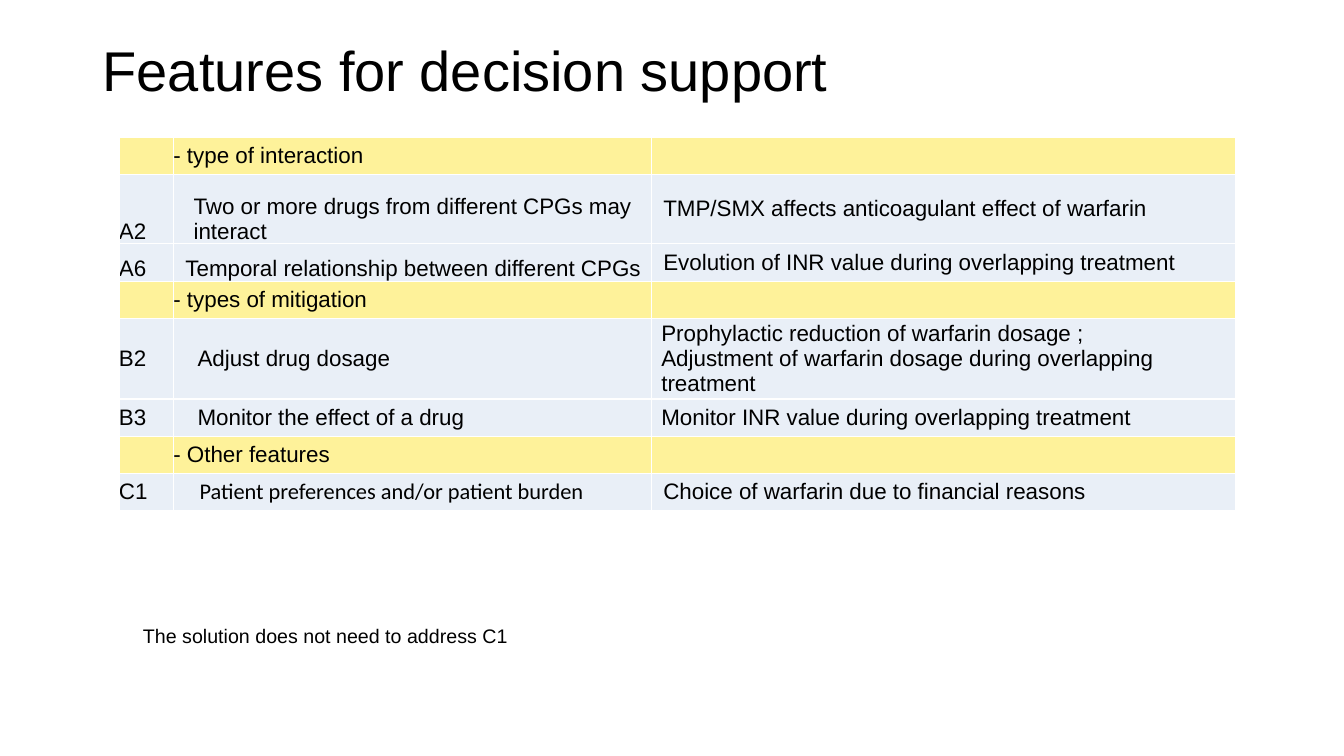
from dataclasses import dataclass

from lxml import etree
from pptx import Presentation
from pptx.dml.color import RGBColor
from pptx.enum.text import MSO_ANCHOR
from pptx.oxml.ns import qn
from pptx.util import Inches, Pt

MIDDLE, BOTTOM, TOP = MSO_ANCHOR.MIDDLE, MSO_ANCHOR.BOTTOM, MSO_ANCHOR.TOP
BLANK_LAYOUT = 6


@dataclass(frozen=True)
class Theme:
    """Colours, fonts and type sizes of the slide."""
    text: str = "000000"
    heading_fill: str = "FEF29A"
    feature_fill: str = "E9EFF7"
    border: str = "FFFFFF"
    font: str = "Arial"
    alternate_font: str = "Calibri"
    title_size: int = 40
    table_size: int = 16
    note_size: int = 14


THEME = Theme()
COLUMN_WIDTHS = (0.54, 4.74, 5.8)
ROW_HEIGHT, TWO_LINES, THREE_LINES = 0.37, 0.69, 0.74


@dataclass(frozen=True)
class Feature:
    """One table row; a row without a code is a heading."""
    name: str
    code: str = ""
    example: tuple = ()
    name_indent: float = 0
    example_indent: float = 0.12
    height: float = ROW_HEIGHT
    anchor: int = MIDDLE
    name_font: str = THEME.font


FEATURES = (
    Feature("- type of interaction"),
    Feature("Two or more drugs from different CPGs may interact", "A2",
            ("TMP/SMX affects anticoagulant effect of warfarin",),
            0.2, height=TWO_LINES, anchor=BOTTOM),
    Feature("Temporal relationship between different CPGs", "A6",
            ("Evolution of INR value during overlapping treatment",),
            0.12, anchor=BOTTOM),
    Feature("- types of mitigation"),
    Feature("Adjust drug dosage", "B2",
            ("Prophylactic reduction of warfarin dosage ;",
             "Adjustment of warfarin dosage during overlapping treatment"),
            0.24, 0.1, THREE_LINES),
    Feature("Monitor the effect of a drug", "B3",
            ("Monitor INR value during overlapping treatment",), 0.24, 0.1),
    Feature("- Other features"),
    Feature("Patient preferences and/or patient burden", "C1",
            ("Choice of warfarin due to financial reasons",),
            0.26, name_font=THEME.alternate_font),
)


def write_lines(paragraph, lines, size, font_name=THEME.font):
    """Write lines as runs parted by line breaks."""
    paragraph.font.size = Pt(size)
    for index, line in enumerate(lines):
        if index:
            paragraph.add_line_break()
        run = paragraph.add_run()
        run.text = line
        run.font.size = Pt(size)
        run.font.name = font_name
        run.font.color.rgb = RGBColor.from_string(THEME.text)


def add_text(slide, box, line, size, anchor, wrap, line_spacing):
    """Place one line of text in the given box."""
    shape = slide.shapes.add_textbox(*map(Inches, box))
    frame = shape.text_frame
    frame.word_wrap = wrap
    frame.vertical_anchor = anchor
    paragraph = frame.paragraphs[0]
    paragraph.line_spacing = line_spacing
    write_lines(paragraph, (line,), size)


def set_borders(cell):
    """Draw thin lines on all four sides of a cell."""
    properties = cell._tc.get_or_add_tcPr()
    for index, side in enumerate(("a:lnL", "a:lnR", "a:lnT", "a:lnB")):
        line = etree.Element(qn(side), w=str(Pt(1)))
        fill = etree.SubElement(line, qn("a:solidFill"))
        etree.SubElement(fill, qn("a:srgbClr"), val=THEME.border)
        properties.insert(index, line)


def fill_cell(cell, lines, indent, anchor, fill, font_name):
    """Set the fill, borders and text of a cell."""
    cell.margin_left = Inches(indent)
    cell.margin_right = cell.margin_top = cell.margin_bottom = 0
    cell.vertical_anchor = anchor
    cell.fill.solid()
    cell.fill.fore_color.rgb = RGBColor.from_string(fill)
    set_borders(cell)
    write_lines(cell.text_frame.paragraphs[0], lines, THEME.table_size, font_name)


def add_feature_table(slide, left, top):
    """Build the feature table from its top left corner."""
    width = sum(COLUMN_WIDTHS)
    height = sum(feature.height for feature in FEATURES)
    table = slide.shapes.add_table(
        len(FEATURES), len(COLUMN_WIDTHS),
        *map(Inches, (left, top, width, height))).table
    table.first_row = table.horz_banding = False
    for column, column_width in zip(table.columns, COLUMN_WIDTHS):
        column.width = Inches(column_width)
    for row, feature in zip(table.rows, FEATURES):
        row.height = Inches(feature.height)
        fill = THEME.feature_fill if feature.code else THEME.heading_fill
        code = (feature.code,) if feature.code else ()
        contents = (
            (code, 0, feature.anchor, THEME.font),
            ((feature.name,), feature.name_indent, feature.anchor, feature.name_font),
            (feature.example, feature.example_indent, MIDDLE, THEME.font),
        )
        for cell, (lines, indent, anchor, font_name) in zip(row.cells, contents):
            fill_cell(cell, lines, indent, anchor, fill, font_name)


def main():
    """Build and save the slide."""
    presentation = Presentation()
    presentation.slide_width = Inches(13.33)
    presentation.slide_height = Inches(7.5)
    slide = presentation.slides.add_slide(presentation.slide_layouts[BLANK_LAYOUT])
    add_text(slide, (0.92, 0, 11.5, 1.45), "Features for decision support",
             THEME.title_size, MIDDLE, True, 0.9)
    add_feature_table(slide, 1.18, 1.36)
    add_text(slide, (1.32, 6.14, 3.83, 0.34),
             "The solution does not need to address C1",
             THEME.note_size, TOP, False, 1.0)
    presentation.save("out.pptx")


if __name__ == "__main__":
    main()
